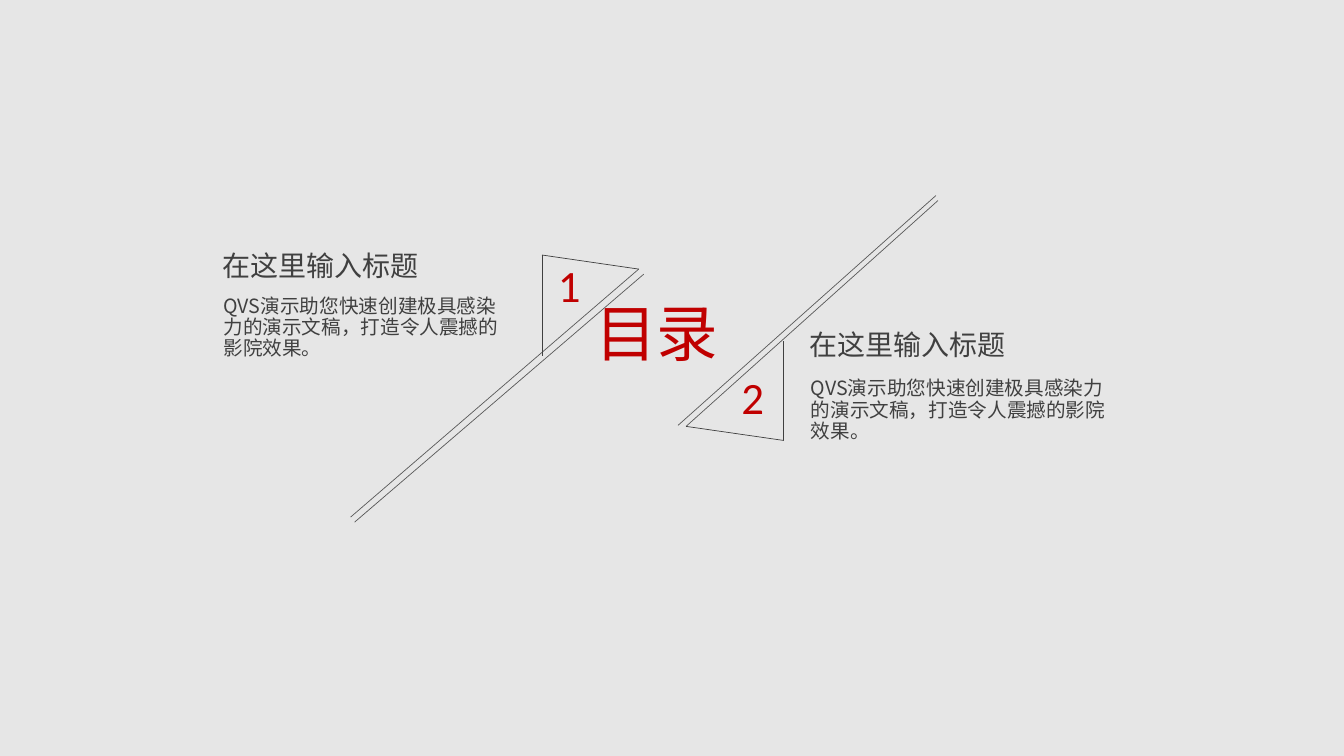
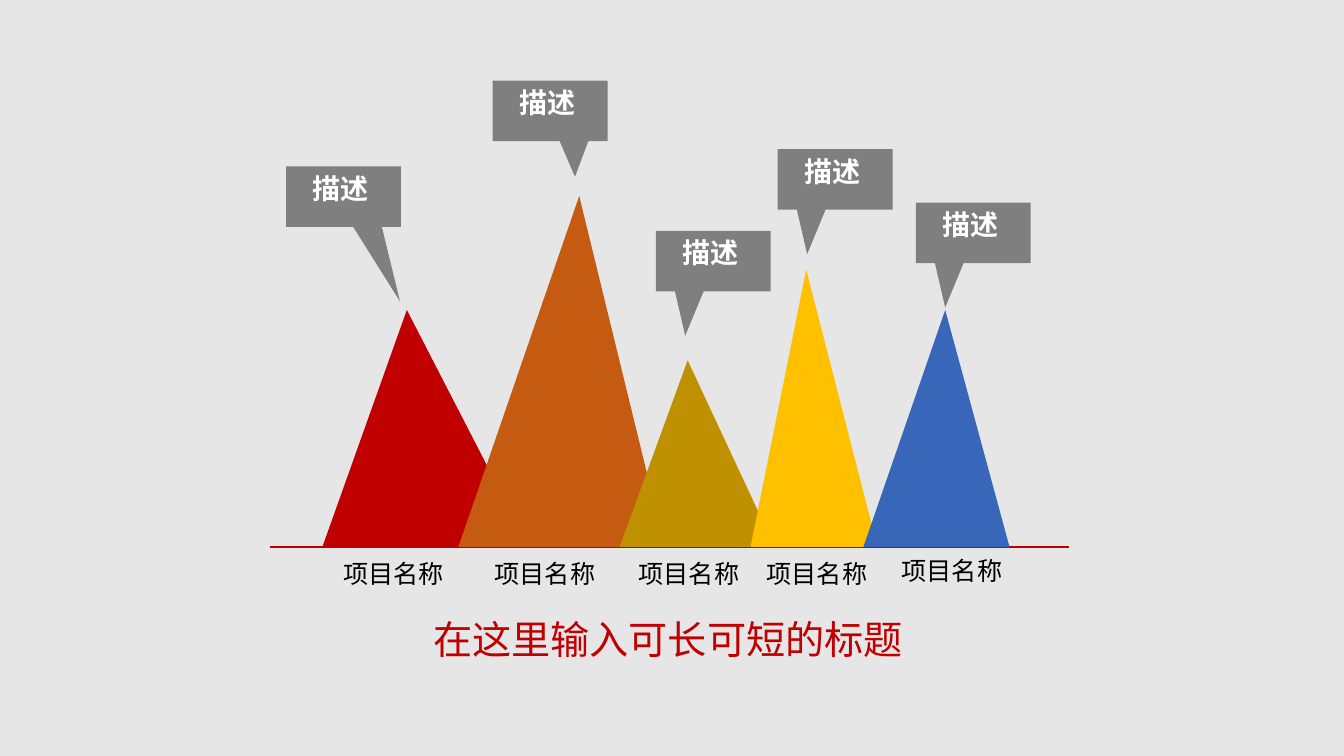
from dataclasses import dataclass
from typing import NamedTuple

from lxml import etree
from pptx import Presentation
from pptx.dml.color import RGBColor
from pptx.enum.shapes import MSO_CONNECTOR, MSO_SHAPE
from pptx.enum.text import MSO_ANCHOR, MSO_AUTO_SIZE, PP_ALIGN
from pptx.oxml.ns import qn
from pptx.util import Emu, Inches, Pt

STRAIGHT = MSO_CONNECTOR.STRAIGHT
TRIANGLE = MSO_SHAPE.ISOSCELES_TRIANGLE
CALLOUT = MSO_SHAPE.RECTANGULAR_CALLOUT
TOP = MSO_ANCHOR.TOP
LEFT = PP_ALIGN.LEFT
GROW = MSO_AUTO_SIZE.SHAPE_TO_FIT_TEXT

CELL = Inches(0.1)
COLUMNS, ROWS = 133.4, 75
TITLE_ONLY = 5


class TextStyle(NamedTuple):
    size: float
    color: str
    font: str = "Noto Sans CJK SC"
    bold: bool = False


@dataclass(frozen=True)
class Theme:
    background: str = "E6E6E6"
    accent: str = "C00000"
    ink: str = "404040"
    diagonal: str = "595959"
    callout: str = "7F7F7F"
    east_asian: str = "Noto Sans CJK SC"
    line_spacing: float = 0.9
    hairline: float = 0.5
    baseline: float = 1.5
    contents: TextStyle = TextStyle(44, "C00000")
    headline: TextStyle = TextStyle(28, "C00000")
    heading: TextStyle = TextStyle(20, "404040")
    body: TextStyle = TextStyle(14, "404040")
    number: TextStyle = TextStyle(32, "C00000", "Calibri")
    label: TextStyle = TextStyle(18, "000000", "Calibri")
    description: TextStyle = TextStyle(20, "FFFFFF", bold=True)


THEME = Theme()


class Box(NamedTuple):
    column: float
    row: float
    columns: float
    rows: float

    def lengths(self) -> tuple[Emu, Emu, Emu, Emu]:
        return grid(self.column), grid(self.row), grid(self.columns), grid(self.rows)


class Point(NamedTuple):
    column: float
    row: float


class Entry(NamedTuple):
    number: str
    number_at: Point
    heading_at: Point
    body_box: Box
    flag: tuple[Point, Point, Point]


class Peak(NamedTuple):
    column: float
    columns: float
    rows: float
    apex: float
    color: str
    label_at: Point
    callout_at: Point
    tip: tuple[float, float]


HEADING = "在这里输入标题"
BODY = "QVS演示助您快速创建极具感染力的演示文稿，打造令人震撼的影院效果。"
ENTRIES = (
    Entry("1", Point(54.4, 25.7), Point(21.1, 24.5), Box(21.2, 28.9, 30.7, 7.3),
          (Point(63.4, 26.7), Point(53.8, 25.3), Point(53.8, 35.3))),
    Entry("2", Point(72.6, 36.8), Point(79.4, 32.4), Box(79.5, 37.1, 32.4, 7.3),
          (Point(68.1, 42.3), Point(77.8, 43.7), Point(77.8, 33.8))),
)
DIAGONALS = (
    (Point(68.1, 42.3), Point(93.1, 19.9)),
    (Point(67.3, 42.2), Point(92.9, 19.4)),
    (Point(34.8, 51.3), Point(63.4, 26.7)),
    (Point(35.2, 51.8), Point(63.9, 27.2)),
)

BASE_ROW = 54.25
SIDE_TIP = (-0.244, 1.236)
PEAKS = (
    Peak(32, 20.5, 23.5, 0.409, "C00000", Point(33.1, 55.2), Point(28.4, 16.5), (0.492, 1.736)),
    Peak(45.5, 20.5, 34.8, 0.585, "C55A11", Point(48.1, 55.2), Point(48.9, 8), (0.217, 1.09)),
    Peak(61.5, 15.4, 18.5, 0.439, "BF9000", Point(62.4, 55.2), Point(65.1, 22.9), SIDE_TIP),
    Peak(74.5, 12.6, 27.5, 0.439, "FFC000", Point(75.1, 55.2), Point(77.2, 14.8), SIDE_TIP),
    Peak(85.7, 14.5, 23.5, 0.56, "3866B8", Point(88.5, 54.9), Point(90.9, 20.1), SIDE_TIP),
)


def grid(cells: float) -> Emu:
    return Emu(round(cells * CELL))


def write_text(shape, text: str, style: TextStyle) -> None:
    frame = shape.text_frame
    frame.text = text
    frame.word_wrap = True
    frame.auto_size = GROW
    frame.vertical_anchor = TOP
    paragraph = frame.paragraphs[0]
    paragraph.alignment = LEFT
    paragraph.line_spacing = THEME.line_spacing
    paragraph.space_before = Pt(0)
    font = paragraph.font
    font.size = Pt(style.size)
    font.bold = style.bold
    font.name = style.font
    font.color.rgb = RGBColor.from_string(style.color)
    defaults = paragraph._p.pPr.find(qn("a:defRPr"))
    etree.SubElement(defaults, qn("a:ea")).set("typeface", THEME.east_asian)


def add_text(slide, box: Box, text: str, style: TextStyle) -> None:
    write_text(slide.shapes.add_textbox(*box.lengths()), text, style)


def add_line(slide, start: Point, end: Point, color: str, width: float) -> None:
    connector = slide.shapes.add_connector(
        STRAIGHT, grid(start.column), grid(start.row), grid(end.column), grid(end.row))
    connector.line.color.rgb = RGBColor.from_string(color)
    connector.line.width = Pt(width)
    etree.SubElement(connector._element.spPr, qn("a:effectLst"))


def add_solid(slide, kind, box: Box, color: str, adjustments: tuple[float, ...]) -> None:
    shape = slide.shapes.add_shape(kind, *box.lengths())
    shape.shadow.inherit = False
    shape.fill.solid()
    shape.fill.fore_color.rgb = RGBColor.from_string(color)
    shape.line.fill.background()
    for index, value in enumerate(adjustments):
        shape.adjustments[index] = value


def add_titled_slide(presentation, title: str, box: Box, style: TextStyle):
    slide = presentation.slides.add_slide(presentation.slide_layouts[TITLE_ONLY])
    placeholder = slide.shapes.title
    placeholder.left, placeholder.top, placeholder.width, placeholder.height = box.lengths()
    write_text(placeholder, title, style)
    return slide


def add_entry(slide, entry: Entry) -> None:
    for start, end in zip(entry.flag, entry.flag[1:]):
        add_line(slide, start, end, THEME.ink, THEME.hairline)
    add_text(slide, Box(*entry.number_at, 5, 5.8), entry.number, THEME.number)
    add_text(slide, Box(*entry.heading_at, 24.3, 4), HEADING, THEME.heading)
    add_text(slide, entry.body_box, BODY, THEME.body)


def add_peak_notes(slide, peak: Peak) -> None:
    column, row = peak.callout_at
    add_text(slide, Box(*peak.label_at, 12.6, 3.7), "项目名称", THEME.label)
    add_solid(slide, CALLOUT, Box(column, row, 11.4, 6), THEME.callout, peak.tip)
    add_text(slide, Box(column + 1.65, row + 0.4, 9.8, 4), "描述", THEME.description)


def build_contents(presentation) -> None:
    slide = add_titled_slide(presentation, "目录", Box(58.1, 29.6, 14.8, 7.6), THEME.contents)
    for start, end in DIAGONALS:
        add_line(slide, start, end, THEME.diagonal, THEME.hairline)
    for entry in ENTRIES:
        add_entry(slide, entry)


def build_peaks(presentation) -> None:
    slide = add_titled_slide(
        presentation, "在这里输入可长可短的标题", Box(42, 61.1, 52.1, 5.2), THEME.headline)
    add_line(slide, Point(26.8, BASE_ROW), Point(106.1, BASE_ROW), THEME.accent, THEME.baseline)
    for peak in PEAKS:
        box = Box(peak.column, BASE_ROW - peak.rows, peak.columns, peak.rows)
        add_solid(slide, TRIANGLE, box, peak.color, (peak.apex,))
    for peak in PEAKS:
        add_peak_notes(slide, peak)


def main() -> None:
    presentation = Presentation()
    presentation.slide_width = grid(COLUMNS)
    presentation.slide_height = grid(ROWS)
    background = presentation.slide_master.background.fill
    background.solid()
    background.fore_color.rgb = RGBColor.from_string(THEME.background)
    build_contents(presentation)
    build_peaks(presentation)
    presentation.save("out.pptx")


if __name__ == "__main__":
    main()
